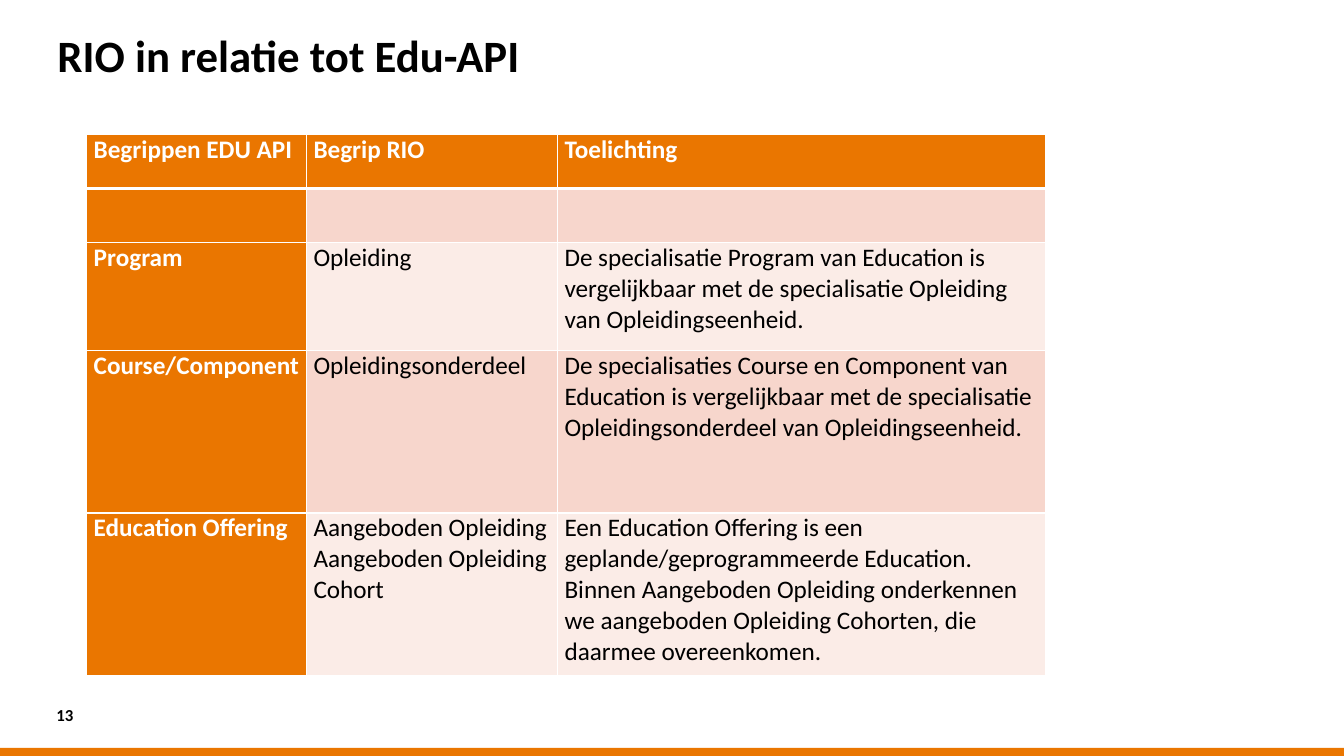
from dataclasses import dataclass

from lxml.etree import SubElement
from pptx import Presentation
from pptx.dml.color import RGBColor
from pptx.enum.shapes import MSO_SHAPE
from pptx.enum.text import MSO_ANCHOR, PP_ALIGN
from pptx.oxml.ns import qn
from pptx.util import Inches, Pt

FONT = "Calibri"
ORANGE, WHITE, BLACK = "EA7600", "FFFFFF", "000000"
BANDS = ("F7D6CC", "FBECE7")
COLUMN_WIDTHS = (2.18, 2.49, 4.84)


@dataclass
class TermRow:
    height: float
    edu_api: str = ""
    rio: str = ""
    explanation: str = ""


TERMS = [
    TermRow(0.54, "Begrippen EDU API", "Begrip RIO", "Toelichting"),
    TermRow(0.54),
    TermRow(1.07, "Program", "Opleiding",
            "De specialisatie Program van Education is vergelijkbaar met de "
            "specialisatie Opleiding van Opleidingseenheid."),
    TermRow(1.61, "Course/Component", "Opleidingsonderdeel",
            "De specialisaties Course en Component van Education is vergelijkbaar "
            "met de specialisatie Opleidingsonderdeel van Opleidingseenheid."),
    TermRow(1.61, "Education Offering",
            "Aangeboden Opleiding\nAangeboden Opleiding Cohort",
            "Een Education Offering is een geplande/geprogrammeerde Education. "
            "Binnen Aangeboden Opleiding onderkennen we aangeboden Opleiding "
            "Cohorten, die daarmee overeenkomen."),
]


def color(value: str) -> RGBColor:
    return RGBColor.from_string(value)


def write_text(frame, text: str, *, size: float, ink: str = BLACK, bold: bool = False,
               spacing: float | None = None) -> None:
    frame.text = text
    frame.word_wrap = True
    for para in frame.paragraphs:
        para.alignment = PP_ALIGN.LEFT
        para.line_spacing = spacing
        for span in para.runs:
            span.font.name = FONT
            span.font.size = Pt(size)
            span.font.bold = bold
            span.font.color.rgb = color(ink)


def set_margins(target, side: float = 0, top: float = 0) -> None:
    target.margin_left = target.margin_right = Inches(side)
    target.margin_top = Inches(top)
    target.margin_bottom = 0


def set_borders(cell, top: float, bottom: float) -> None:
    properties = cell._tc.get_or_add_tcPr()
    for edge, width in (("L", 1), ("R", 1), ("T", top), ("B", bottom)):
        line = SubElement(properties, qn(f"a:ln{edge}"), w=str(Pt(width)))
        fill = SubElement(line, qn("a:solidFill"))
        SubElement(fill, qn("a:srgbClr"), val=WHITE)


def add_title(page, text: str) -> None:
    title = page.shapes.title
    title.left, title.top = Inches(0.57), Inches(0.3)
    title.width, title.height = Inches(12.19), Inches(0.66)
    write_text(title.text_frame, text, size=32, bold=True, spacing=0.8)
    set_margins(title.text_frame, top=0.08)
    title.text_frame.vertical_anchor = MSO_ANCHOR.TOP


def add_footer(page, number: str) -> None:
    bar = page.shapes.add_shape(MSO_SHAPE.RECTANGLE, 0, Inches(7.42),
                                Inches(13.33), Inches(0.08))
    bar.shadow.inherit = False
    bar.fill.solid()
    bar.fill.fore_color.rgb = color(ORANGE)
    bar.line.fill.background()
    box = page.shapes.add_textbox(Inches(0.56), Inches(6.97), Inches(0.43), Inches(0.24))
    write_text(box.text_frame, number, size=12, bold=True)
    set_margins(box.text_frame)
    box.text_frame.vertical_anchor = MSO_ANCHOR.MIDDLE


def add_terms_table(page, terms: list[TermRow]) -> None:
    table = page.shapes.add_table(
        len(terms), len(COLUMN_WIDTHS), Inches(0.86), Inches(1.33),
        Inches(sum(COLUMN_WIDTHS)), Inches(sum(term.height for term in terms))).table
    for column, width in zip(table.columns, COLUMN_WIDTHS):
        column.width = Inches(width)
    for row_index, term in enumerate(terms):
        table.rows[row_index].height = Inches(term.height)
        for column_index, text in enumerate((term.edu_api, term.rio, term.explanation)):
            cell = table.cell(row_index, column_index)
            heading = row_index == 0 or column_index == 0
            set_margins(cell, side=0.07)
            set_borders(cell, top=3 if row_index == 1 else 1,
                        bottom=3 if row_index == 0 else 1)
            cell.fill.solid()
            cell.fill.fore_color.rgb = color(
                ORANGE if heading else BANDS[(row_index - 1) % 2])
            if text:
                write_text(cell.text_frame, text, size=18, bold=heading,
                           ink=WHITE if heading else BLACK)


def main() -> None:
    deck = Presentation()
    deck.slide_width, deck.slide_height = Inches(13.33), Inches(7.5)
    page = deck.slides.add_slide(deck.slide_layouts[5])
    add_title(page, "RIO in relatie tot Edu-API")
    add_footer(page, "13")
    add_terms_table(page, TERMS)
    deck.save("out.pptx")


if __name__ == "__main__":
    main()
